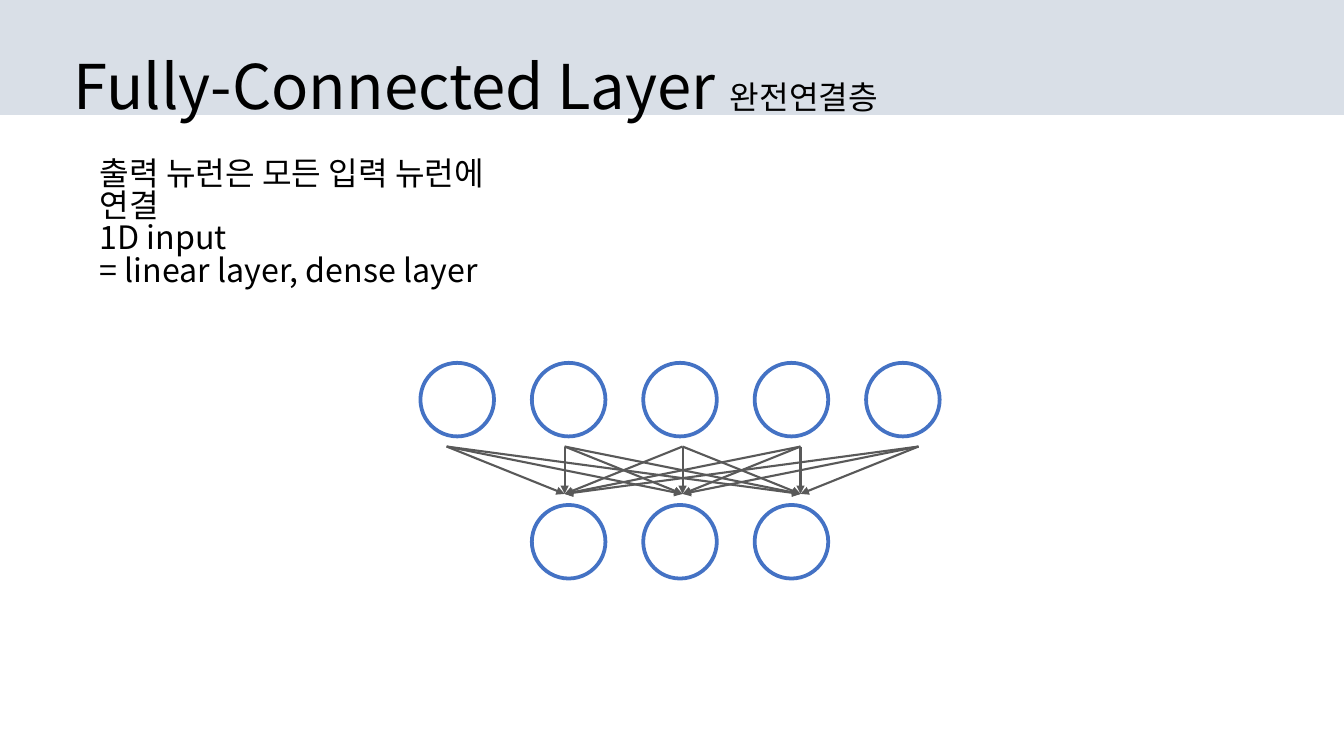
from dataclasses import dataclass
from itertools import product

from lxml.etree import SubElement
from pptx import Presentation
from pptx.dml.color import RGBColor
from pptx.enum.shapes import MSO_CONNECTOR, MSO_SHAPE
from pptx.enum.text import MSO_ANCHOR, MSO_AUTO_SIZE, PP_ALIGN
from pptx.oxml.ns import qn
from pptx.util import Inches, Pt


@dataclass(frozen=True)
class Theme:
    font: str = "Noto Sans CJK KR"
    text: str = "000000"
    band: str = "002C62"
    ring: str = "4472C4"
    arrow: str = "595959"
    title: float = 44
    body: float = 23


class Deck:
    def __init__(self, theme):
        self.theme = theme
        self.prs = Presentation()
        self.prs.slide_width = Inches(13.33)
        self.prs.slide_height = Inches(7.5)
        self.slide = self.prs.slides.add_slide(self.prs.slide_layouts[5])
        self.shapes = self.slide.shapes

    def style(self, para, size):
        font = para.font
        font.size = Pt(size)
        font.name = self.theme.font
        font.color.rgb = RGBColor.from_string(self.theme.text)
        SubElement(font._element, qn("a:ea"), typeface=self.theme.font)

    def band(self, *box):
        shape = self.shapes.add_shape(MSO_SHAPE.RECTANGLE, *map(Inches, box))
        shape.shadow.inherit = False
        shape.fill.solid()
        shape.fill.fore_color.rgb = RGBColor.from_string(self.theme.band)
        color = shape.fill._xPr.find(".//" + qn("a:srgbClr"))
        SubElement(color, qn("a:alpha"), val="15000")
        shape.line.fill.background()
        tree = shape._element.getparent()
        tree.remove(shape._element)
        tree.insert(2, shape._element)

    def title(self, main, sub, *box):
        shape = self.shapes.title
        shape.left, shape.top, shape.width, shape.height = map(Inches, box)
        frame = shape.text_frame
        frame.word_wrap = True
        frame.auto_size = MSO_AUTO_SIZE.NONE
        frame.vertical_anchor = MSO_ANCHOR.MIDDLE
        para = frame.paragraphs[0]
        para.alignment = PP_ALIGN.LEFT
        para.line_spacing = 0.9
        self.style(para, self.theme.title)
        for text, size in ((main, self.theme.title), (sub, self.theme.body)):
            run = para.add_run()
            run.text = text
            run.font.size = Pt(size)

    def text(self, lines, *box):
        frame = self.shapes.add_textbox(*map(Inches, box)).text_frame
        frame.word_wrap = True
        frame.text = "\n".join(lines)
        for para in frame.paragraphs:
            para.line_spacing = 0.83
            self.style(para, self.theme.body)

    def ring(self, left, top, size):
        box = map(Inches, (left, top, size, size))
        shape = self.shapes.add_shape(MSO_SHAPE.OVAL, *box)
        shape.shadow.inherit = False
        shape.fill.background()
        shape.line.color.rgb = RGBColor.from_string(self.theme.ring)
        shape.line.width = Pt(2.7)

    def arrow(self, *ends):
        link = self.shapes.add_connector(MSO_CONNECTOR.STRAIGHT, *map(Inches, ends))
        link.line.color.rgb = RGBColor.from_string(self.theme.arrow)
        link.line.width = Pt(1.5)
        SubElement(link.line._get_or_add_ln(), qn("a:tailEnd"), type="triangle")
        SubElement(link._element.spPr, qn("a:effectLst"))


def main():
    deck = Deck(Theme())
    deck.band(0, 0, 13.33, 1.14)
    deck.title("Fully-Connected Layer ", "완전연결층", 0.63, 0.16, 11.5, 1.45)

    inputs, outputs = range(5), range(1, 4)
    for row, top in ((inputs, 3.6), (outputs, 5.01)):
        for col in row:
            deck.ring(4.17 + 1.105 * col, top, 0.73)
    for start, end in product(inputs, outputs):
        deck.arrow(4.43 + 1.17 * start, 4.43, 4.43 + 1.17 * end, 4.9)

    deck.text(
        ["출력 뉴런은 모든 입력 뉴런에 연결", "1D input", "= linear layer, dense layer"],
        0.89, 1.54, 4.59, 1.6,
    )
    deck.prs.save("out.pptx")


if __name__ == "__main__":
    main()
